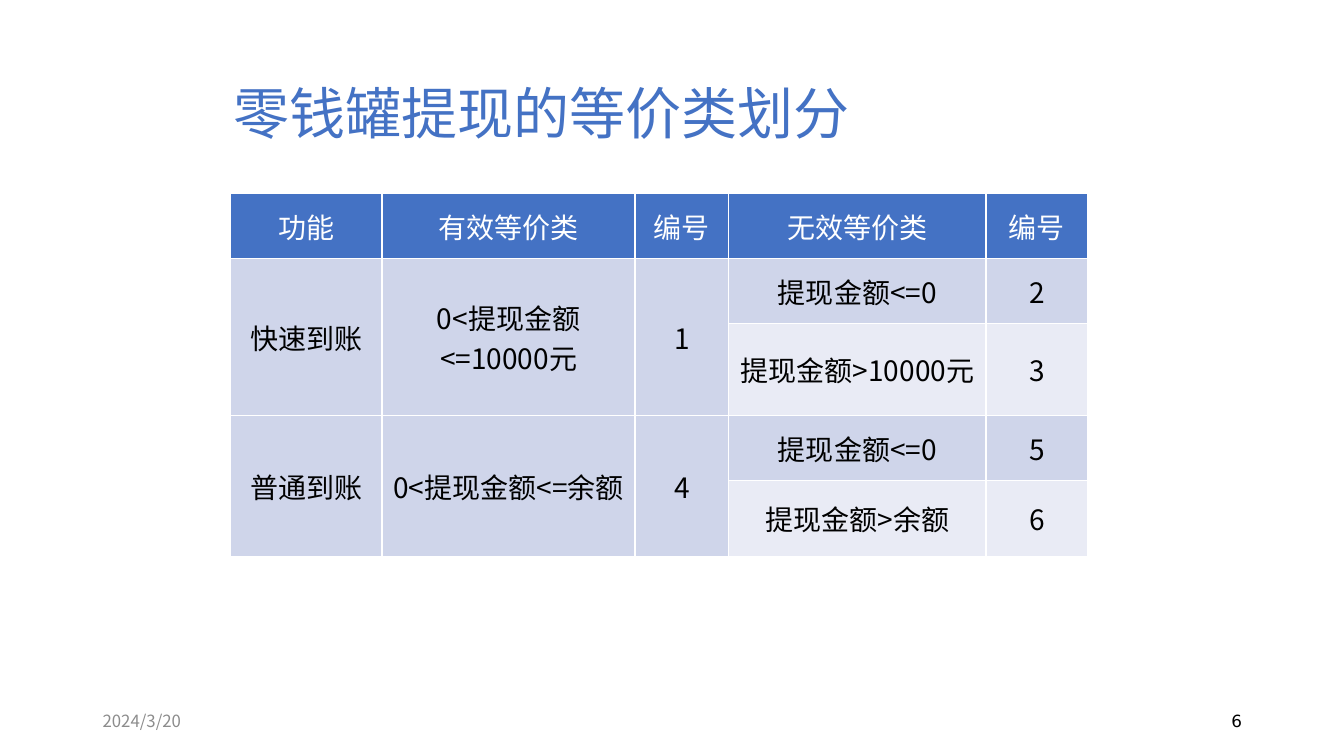
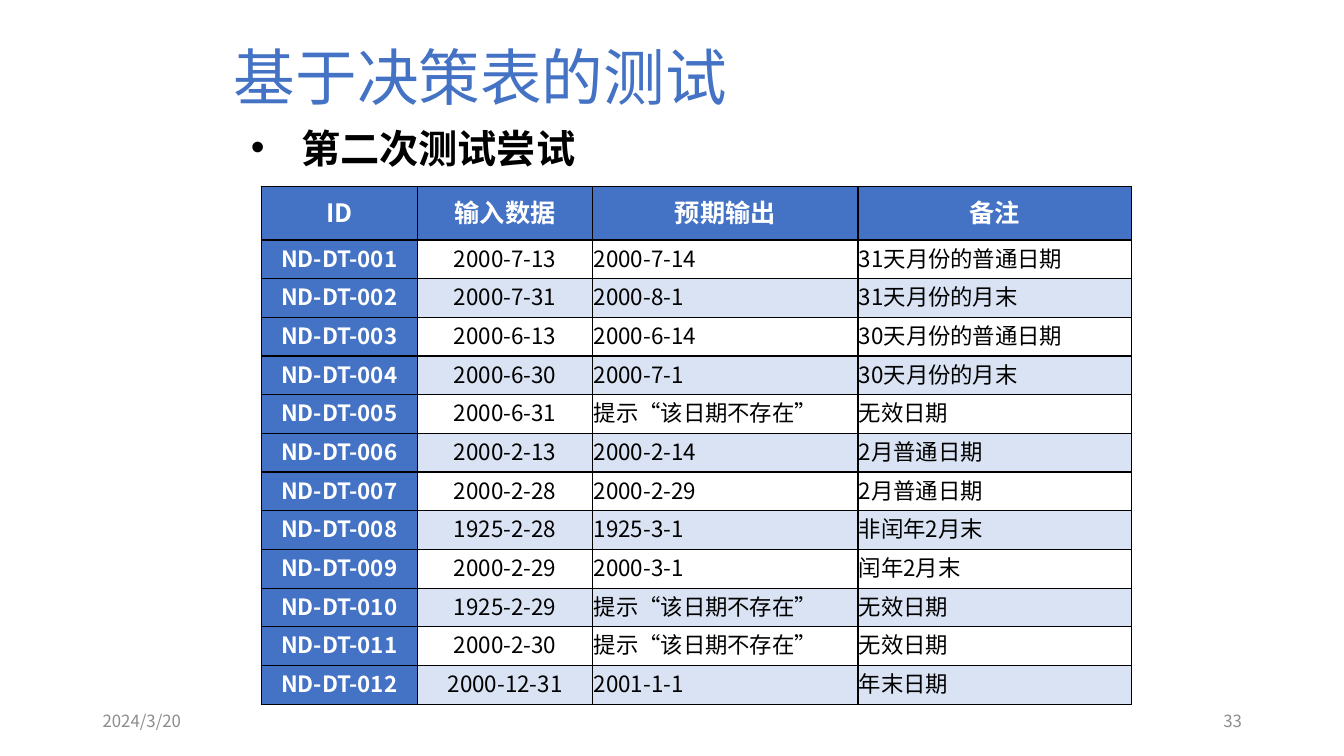
from dataclasses import dataclass
from typing import Optional

from lxml import etree
from pptx import Presentation
from pptx import util as u
from pptx.dml.color import RGBColor
from pptx.enum import text
from pptx.oxml import ns

BLUE, BLACK, WHITE, GREY = "4472C4", "000000", "FFFFFF", "8C8C8C"
BAND_DARK, BAND_LIGHT, BAND_PALE = "CFD5EA", "E9EBF5", "DAE3F3"
FONT = "Noto Sans CJK SC"
LEFT, CENTER, RIGHT = text.PP_ALIGN.LEFT, text.PP_ALIGN.CENTER, text.PP_ALIGN.RIGHT
MIDDLE, BOTTOM, TOP = text.MSO_ANCHOR.MIDDLE, text.MSO_ANCHOR.BOTTOM, text.MSO_ANCHOR.TOP
SLIDE_W, SLIDE_H = u.Inches(13.333), u.Inches(7.5)


@dataclass(frozen=True)
class Box:
    """A place on the slide, in percent of its width and height."""
    x: float
    y: float
    w: float
    h: float

    def emu(self) -> tuple[int, int, int, int]:
        return across(self.x), down(self.y), across(self.w), down(self.h)


@dataclass(frozen=True)
class Style:
    size: float
    color: str = BLACK
    bold: bool = False
    align: text.PP_ALIGN = LEFT
    font: str = FONT


@dataclass(frozen=True)
class CellLook:
    style: Style
    fill: Optional[str]
    border: str
    margins: tuple[float, float, float, float] = (0.1, 0.05, 0.1, 0.05)


DATE_BOX = Box(6.9, 92.67, 22.5, 5.33)
NUMBER_BOX = Box(70.65, 92.67, 22.5, 5.33)


def across(share: float) -> int:
    return round(SLIDE_W * share / 100)


def down(share: float) -> int:
    return round(SLIDE_H * share / 100)


def rgb(value: str) -> RGBColor:
    return RGBColor.from_string(value)


def add_run(p, words: str, style: Style) -> None:
    p.alignment = style.align
    r = p.add_run()
    r.text = words
    r.font.size, r.font.bold, r.font.name = u.Pt(style.size), style.bold, style.font
    r.font.color.rgb = rgb(style.color)
    ea = etree.SubElement(r.font._element, ns.qn("a:ea"))
    ea.set("typeface", style.font)


def add_text(s, box: Box, words: str, style: Style, anchor=MIDDLE):
    tf = s.shapes.add_textbox(*box.emu()).text_frame
    tf.word_wrap = True
    tf.vertical_anchor = anchor
    p = tf.paragraphs[0]
    add_run(p, words, style)
    return p


def add_bullet(p, indent: float, tab: float) -> None:
    pPr = p._p.get_or_add_pPr()
    pPr.set("marL", str(u.Inches(indent)))
    pPr.set("indent", str(-u.Inches(indent)))
    etree.SubElement(pPr, ns.qn("a:buFont")).set("typeface", "Arial")
    etree.SubElement(pPr, ns.qn("a:buChar")).set("char", "•")
    stop = etree.SubElement(etree.SubElement(pPr, ns.qn("a:tabLst")), ns.qn("a:tab"))
    stop.set("pos", str(u.Inches(tab)))
    stop.set("algn", "l")


def new_slide(prs, title: str, box: Box, size: float, number: str, number_style: Style):
    """Title-only slide with the shared title style, date and number."""
    s = prs.slides.add_slide(prs.slide_layouts[5])
    sp = s.shapes.title
    sp.left, sp.top, sp.width, sp.height = box.emu()
    tf = sp.text_frame
    tf.word_wrap, tf.auto_size = True, text.MSO_AUTO_SIZE.NONE
    tf.vertical_anchor = BOTTOM
    p = tf.paragraphs[0]
    p.line_spacing = 0.9
    add_run(p, title, Style(size, BLUE))
    add_text(s, DATE_BOX, "2024/3/20", Style(12, GREY))
    add_text(s, NUMBER_BOX, number, number_style)
    return s


def format_cell(cell, words: Optional[str], look: CellLook) -> None:
    (cell.margin_left, cell.margin_top,
     cell.margin_right, cell.margin_bottom) = map(u.Inches, look.margins)
    cell.vertical_anchor = MIDDLE
    tcPr = cell._tc.get_or_add_tcPr()
    for side in "LRTB":
        ln = etree.SubElement(tcPr, ns.qn(f"a:ln{side}"))
        ln.set("w", str(u.Pt(1)))
        color = etree.SubElement(etree.SubElement(ln, ns.qn("a:solidFill")), ns.qn("a:srgbClr"))
        color.set("val", look.border)
    if look.fill:
        cell.fill.solid()
        cell.fill.fore_color.rgb = rgb(look.fill)
    else:
        cell.fill.background()
    if words:
        add_run(cell.text_frame.paragraphs[0], words, look.style)


def add_grid(s, x: float, y: float, cols: list[float], rows: list[float], data, look_of):
    """Table whose cell looks come from look_of(row, column)."""
    box = Box(x, y, sum(cols), sum(rows))
    tbl = s.shapes.add_table(len(rows), len(cols), *box.emu()).table
    tbl.first_row = tbl.horz_banding = False
    for col, share in zip(tbl.columns, cols):
        col.width = across(share)
    for row, share in zip(tbl.rows, rows):
        row.height = down(share)
    for i, line in enumerate(data):
        for j, words in enumerate(line):
            format_cell(tbl.cell(i, j), words, look_of(i, j))
    return tbl


# Equivalence classes
CLASSES = [
    ("功能", "有效等价类", "编号", "无效等价类", "编号"),
    ("快速到账", "0<提现金额<=10000元", "1", "提现金额<=0", "2"),
    (None, None, None, "提现金额>10000元", "3"),
    ("普通到账", "0<提现金额<=余额", "4", "提现金额<=0", "5"),
    (None, None, None, "提现金额>余额", "6"),
]


def class_look(i: int, j: int) -> CellLook:
    if i == 0:
        return CellLook(Style(20, WHITE, align=CENTER), BLUE, WHITE)
    light = j > 2 and i % 2 == 0
    return CellLook(Style(20, align=CENTER), BAND_LIGHT if light else BAND_DARK, WHITE)


def classes_slide(prs) -> None:
    s = new_slide(prs, "零钱罐提现的等价类划分", Box(16.65, 6, 66.75, 14), 40,
                  "6", Style(12, align=RIGHT, font="DejaVu Sans"))
    # The third row holds two lines of text
    tbl = add_grid(s, 17.18, 25.6, [11.25, 18.83, 6.98, 19.13, 7.58],
                   [8.6, 8.6, 12.2, 8.6, 10], CLASSES, class_look)
    for i in (1, 3):
        for j in range(3):
            tbl.cell(i, j).merge(tbl.cell(i + 1, j))


# Decision table tests
MISSING = "提示“该日期不存在”"
CASES = [
    ("2000-7-13", "2000-7-14", "31天月份的普通日期"),
    ("2000-7-31", "2000-8-1", "31天月份的月末"),
    ("2000-6-13", "2000-6-14", "30天月份的普通日期"),
    ("2000-6-30", "2000-7-1", "30天月份的月末"),
    ("2000-6-31", MISSING, "无效日期"),
    ("2000-2-13", "2000-2-14", "2月普通日期"),
    ("2000-2-28", "2000-2-29", "2月普通日期"),
    ("1925-2-28", "1925-3-1", "非闰年2月末"),
    ("2000-2-29", "2000-3-1", "闰年2月末"),
    ("1925-2-29", MISSING, "无效日期"),
    ("2000-2-30", MISSING, "无效日期"),
    ("2000-12-31", "2001-1-1", "年末日期"),
]


def case_look(i: int, j: int) -> CellLook:
    margins = (0.01, 0.01, 0.01, 0.05)
    if i == 0 or j == 0:
        style = Style(16 if i else 18, WHITE, True, CENTER)
        return CellLook(style, BLUE, BLACK, margins)
    style = Style(16, align=CENTER if j == 1 else LEFT)
    return CellLook(style, None if i % 2 else BAND_PALE, BLACK, margins)


def cases_slide(prs) -> None:
    s = new_slide(prs, "基于决策表的测试", Box(16.65, 4.27, 66.75, 11.47), 44,
                  "33", Style(12, GREY, align=RIGHT))
    p = add_text(s, Box(17.93, 15.73, 39, 11.6), "第二次测试尝试", Style(28, bold=True), TOP)
    add_bullet(p, 0.5, 1.76)
    data = [("ID", "输入数据", "预期输出", "备注")]
    data += [(f"ND-DT-{n:03}", *case) for n, case in enumerate(CASES, 1)]
    add_grid(s, 19.43, 24.67, [11.63, 13.05, 19.73, 20.33],
             [7.07] + [5.12] * len(CASES), data, case_look)


def main() -> None:
    prs = Presentation()
    prs.slide_width, prs.slide_height = SLIDE_W, SLIDE_H
    classes_slide(prs)
    cases_slide(prs)
    prs.save("out.pptx")


if __name__ == "__main__":
    main()
